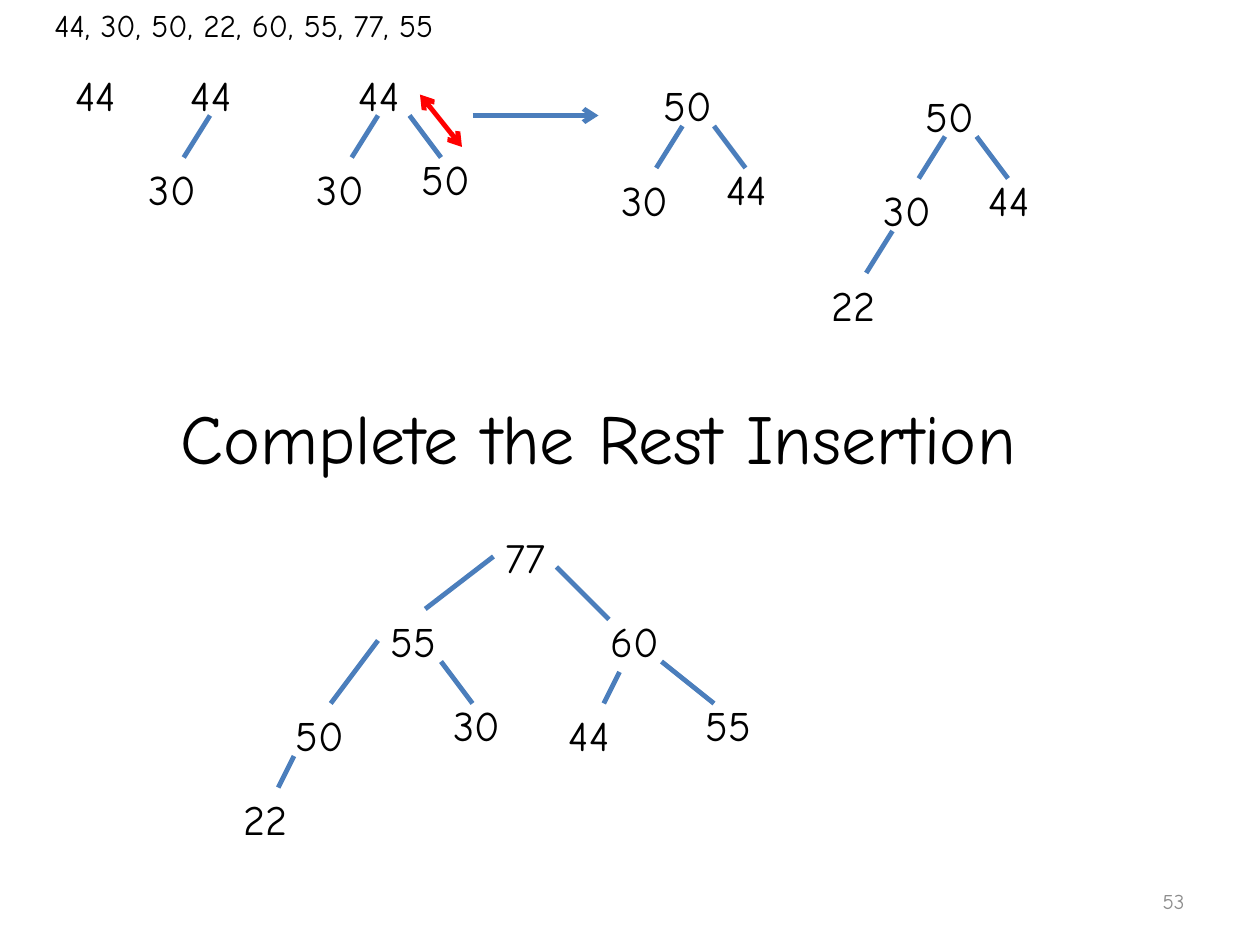
import pptx
import pptx.util
import pptx.dml.color
import pptx.enum.shapes
import pptx.enum.text
import pptx.oxml.ns
import lxml.etree

BLACK = pptx.dml.color.RGBColor(0x00, 0x00, 0x00)
GREY = pptx.dml.color.RGBColor(0x8C, 0x8C, 0x8C)
BLUE = pptx.dml.color.RGBColor(0x4B, 0x7E, 0xBC)
RED = pptx.dml.color.RGBColor(0xFF, 0x00, 0x00)

presentation = pptx.Presentation()
presentation.slide_width = pptx.util.Inches(10)
presentation.slide_height = pptx.util.Inches(7.5)
slide = presentation.slides.add_slide(presentation.slide_layouts[5])
column = presentation.slide_width / 120
row = presentation.slide_height / 90

NODE_WIDTH, NODE_HEIGHT = 9, 6
LEFT = pptx.enum.text.PP_ALIGN.LEFT
RIGHT = pptx.enum.text.PP_ALIGN.RIGHT
TOP = pptx.enum.text.MSO_ANCHOR.TOP
MIDDLE = pptx.enum.text.MSO_ANCHOR.MIDDLE


def write(shape, box, text, size, color=BLACK, alignment=LEFT, anchor=TOP):
    left, top, width, height = box
    frame = shape.text_frame
    frame.text = text
    paragraph = frame.paragraphs[0]
    formats = [
        (shape, {"left": round(left * column), "top": round(top * row),
                 "width": round(width * column), "height": round(height * row)}),
        (frame, {"word_wrap": True, "vertical_anchor": anchor,
                 "auto_size": pptx.enum.text.MSO_AUTO_SIZE.NONE}),
        (paragraph, {"alignment": alignment}),
        (paragraph.font, {"name": "Comic Neue", "size": pptx.util.Pt(size)}),
        (paragraph.font.color, {"rgb": color}),
    ]
    for target, values in formats:
        for name, value in values.items():
            setattr(target, name, value)


def connect(shapes, start, end, color=BLUE, arrowheads=()):
    connector = shapes.add_connector(
        pptx.enum.shapes.MSO_CONNECTOR.STRAIGHT,
        round(start[0] * column), round(start[1] * row),
        round(end[0] * column), round(end[1] * row))
    connector.line.color.rgb = color
    connector.line.width = pptx.util.Pt(2.75)
    line = connector.line._get_or_add_ln()
    for arrowhead in arrowheads:
        lxml.etree.SubElement(line, pptx.oxml.ns.qn(f"a:{arrowhead}"), type="arrow")
    properties = connector._element.spPr
    lxml.etree.SubElement(properties, pptx.oxml.ns.qn("a:effectLst"))


write(slide.shapes.title, (16, 37, 92, 9.25), "Complete the Rest Insertion", 40)
write(slide.shapes.add_textbox(0, 0, 0, 0), (4, 0, 92, 8.5),
      "44, 30, 50, 22, 60, 55, 77, 55", 18)
write(slide.shapes.add_textbox(0, 0, 0, 0), (86, 83.4, 28, 4.8),
      "53", 12, GREY, RIGHT, MIDDLE)

small_trees = [
    (17, 6, "44", "30", None),
    (33, 6, "44", "30", "50"),
    (62, 7, "50", "30", "44"),
    (87, 8, "50", "30", "44"),
]
for left, top, root, left_child, right_child in small_trees:
    shapes = slide.shapes.add_group_shape().shapes
    nodes = [(left, top, root), (left - 4, top + 9, left_child)]
    connect(shapes, (left + 3, top + 5), (left + 0.5, top + 9))
    if right_child:
        nodes.append((left + 6, top + 8, right_child))
        connect(shapes, (left + 6, top + 5), (left + 9, top + 9))
    for node_left, node_top, label in nodes:
        write(shapes.add_textbox(0, 0, 0, 0),
              (node_left, node_top, NODE_WIDTH, NODE_HEIGHT), label, 24)
    shapes._recalculate_extents()

single_nodes = [
    (6, 6, "44"), (78, 26, "22"),
    (47, 50, "77"),
    (36, 58, "55"), (57, 58, "60"),
    (27, 67, "50"), (42, 66, "30"), (53, 67, "44"), (66, 66, "55"),
    (22, 75, "22"),
]
for left, top, label in single_nodes:
    write(slide.shapes.add_textbox(0, 0, 0, 0),
          (left, top, NODE_WIDTH, NODE_HEIGHT), label, 24)

edges = [
    ((85, 22), (82.5, 26)),
    ((47, 53), (40.5, 58)), ((53, 54), (58, 59)),
    ((36, 61), (31.5, 67)), ((42, 63), (45, 67)),
    ((59, 64), (57.5, 67)), ((63, 63), (68, 67)),
    ((28, 72), (26.5, 75)),
]
for start, end in edges:
    connect(slide.shapes, start, end)

connect(slide.shapes, (45, 11), (57, 11), BLUE, ["tailEnd"])
connect(slide.shapes, (40, 9), (44, 14), RED, ["headEnd", "tailEnd"])

presentation.save("out.pptx")
